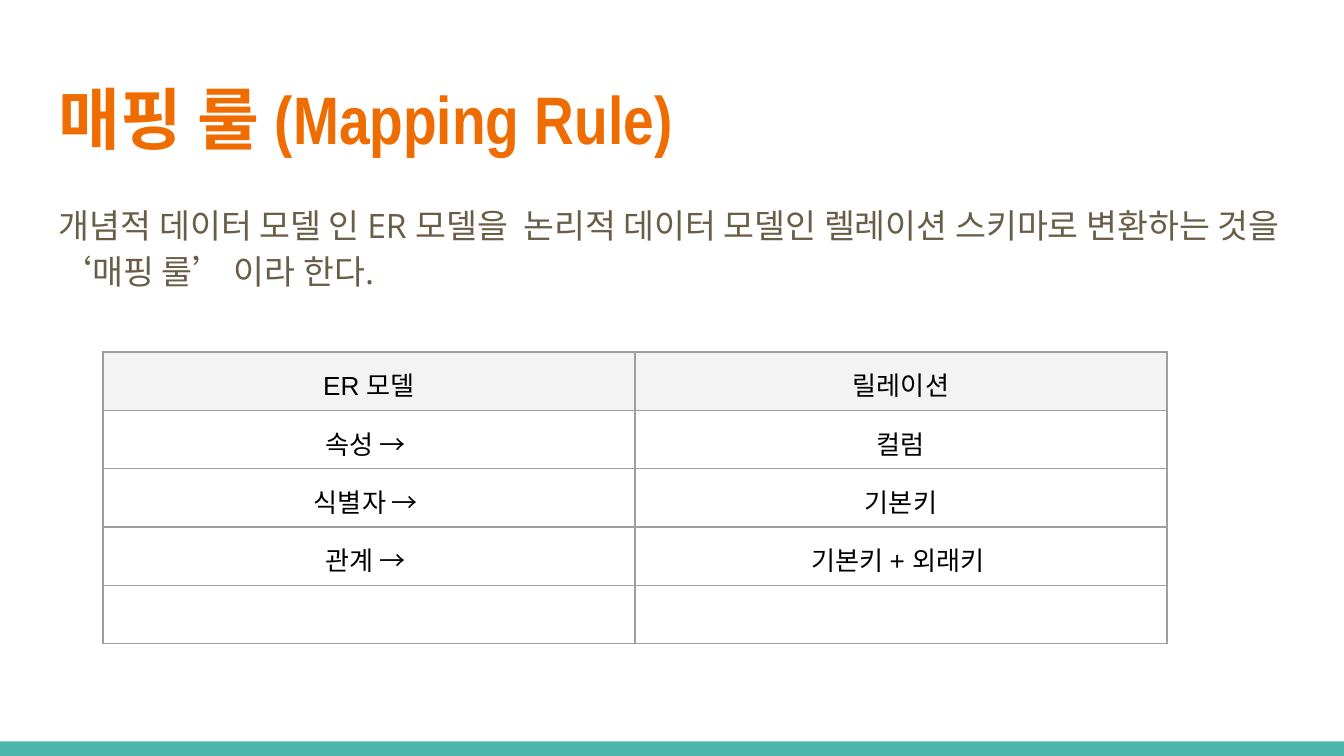
from dataclasses import dataclass

import pptx
import pptx.dml.color
import pptx.enum.shapes
import pptx.enum.text
import pptx.oxml
import pptx.oxml.ns
import pptx.util

Pt = pptx.util.Pt
RGB = pptx.dml.color.RGBColor.from_string
Anchor = pptx.enum.text.MSO_ANCHOR


@dataclass(frozen=True)
class TextStyle:
    font: str
    size: float
    color: str
    bold: bool = False


@dataclass(frozen=True)
class Theme:
    title: TextStyle = TextStyle("Arial Narrow", 36, "EF6C00", True)
    body: TextStyle = TextStyle("Open Sans", 18, "695D46")
    cell: TextStyle = TextStyle("Arial", 14, "000000")
    footer: str = "4DB6AC"
    header_fill: str = "F3F3F3"
    border: str = "9E9E9E"
    border_width: float = 0.75
    inset: float = 7.2


@dataclass(frozen=True)
class Box:
    left: float
    top: float
    width: float
    height: float

    def lengths(self) -> tuple:
        return Pt(self.left), Pt(self.top), Pt(self.width), Pt(self.height)


@dataclass(frozen=True)
class TextBlock:
    box: Box
    text: str
    style: TextStyle
    anchor: Anchor = Anchor.TOP
    line_spacing: float = 1.0


THEME = Theme()
SLIDE_WIDTH, SLIDE_HEIGHT = 720, 405
FOOTER = Box(0, 397.2, SLIDE_WIDTH, 7.8)
TABLE = Box(55.2, 188.6, 570, 150)
BLOCKS = (
    TextBlock(Box(24.5, 35.3, 671, 55.4), "매핑 룰 (Mapping Rule)", THEME.title, Anchor.MIDDLE),
    TextBlock(
        Box(24.5, 99.4, 671, 74.9),
        "개념적 데이터 모델 인 ER 모델을  논리적 데이터 모델인 렐레이션 스키마로 변환하는 것을 ‘매핑 룰’ 이라 한다.",
        THEME.body,
        line_spacing=1.15,
    ),
)
MAPPINGS = (
    ("ER 모델", "릴레이션"),
    ("속성 → ", "컬럼"),
    ("식별자 → ", "기본키"),
    ("관계 → ", "기본키 + 외래키 "),
    ("", ""),
)


def set_insets(target) -> None:
    """Give a text frame or a table cell the same margin on each side."""
    target.margin_left = target.margin_right = Pt(THEME.inset)
    target.margin_top = target.margin_bottom = Pt(THEME.inset)


def style_paragraph(p, style: TextStyle) -> None:
    p.font.name = style.font
    p.font.size = Pt(style.size)
    p.font.bold = style.bold
    p.font.color.rgb = RGB(style.color)


def add_text(s, block: TextBlock) -> None:
    tf = s.shapes.add_textbox(*block.box.lengths()).text_frame
    tf.word_wrap = True
    tf.vertical_anchor = block.anchor
    set_insets(tf)
    p = tf.paragraphs[0]
    p.text = block.text
    p.line_spacing = block.line_spacing
    style_paragraph(p, block.style)


def add_footer(s) -> None:
    sp = s.shapes.add_shape(pptx.enum.shapes.MSO_SHAPE.RECTANGLE, *FOOTER.lengths())
    sp.shadow.inherit = False
    sp.fill.solid()
    sp.fill.fore_color.rgb = RGB(THEME.footer)
    sp.line.fill.background()


def set_borders(cell) -> None:
    tc_pr = cell._tc.get_or_add_tcPr()
    for index, side in enumerate(("lnL", "lnR", "lnT", "lnB")):
        line = pptx.oxml.parse_xml(
            f'<a:{side} {pptx.oxml.ns.nsdecls("a")} w="{Pt(THEME.border_width)}">'
            f'<a:solidFill><a:srgbClr val="{THEME.border}"/></a:solidFill></a:{side}>'
        )
        tc_pr.insert(index, line)


def fill_cell(cell, text: str, is_header: bool) -> None:
    set_insets(cell)
    if is_header:
        cell.fill.solid()
        cell.fill.fore_color.rgb = RGB(THEME.header_fill)
    else:
        cell.fill.background()
    set_borders(cell)
    p = cell.text_frame.paragraphs[0]
    if text:
        p.text = text
    p.alignment = pptx.enum.text.PP_ALIGN.CENTER
    style_paragraph(p, THEME.cell)


def add_mapping_table(s) -> None:
    rows, cols = len(MAPPINGS), len(MAPPINGS[0])
    table = s.shapes.add_table(rows, cols, *TABLE.lengths()).table
    table.horz_banding = False
    for i, labels in enumerate(MAPPINGS):
        for j, label in enumerate(labels):
            fill_cell(table.cell(i, j), label, is_header=i == 0)


def main() -> None:
    prs = pptx.Presentation()
    prs.slide_width, prs.slide_height = Pt(SLIDE_WIDTH), Pt(SLIDE_HEIGHT)
    s = prs.slides.add_slide(prs.slide_layouts[6])
    add_footer(s)
    for block in BLOCKS:
        add_text(s, block)
    add_mapping_table(s)
    prs.save("out.pptx")


if __name__ == "__main__":
    main()
